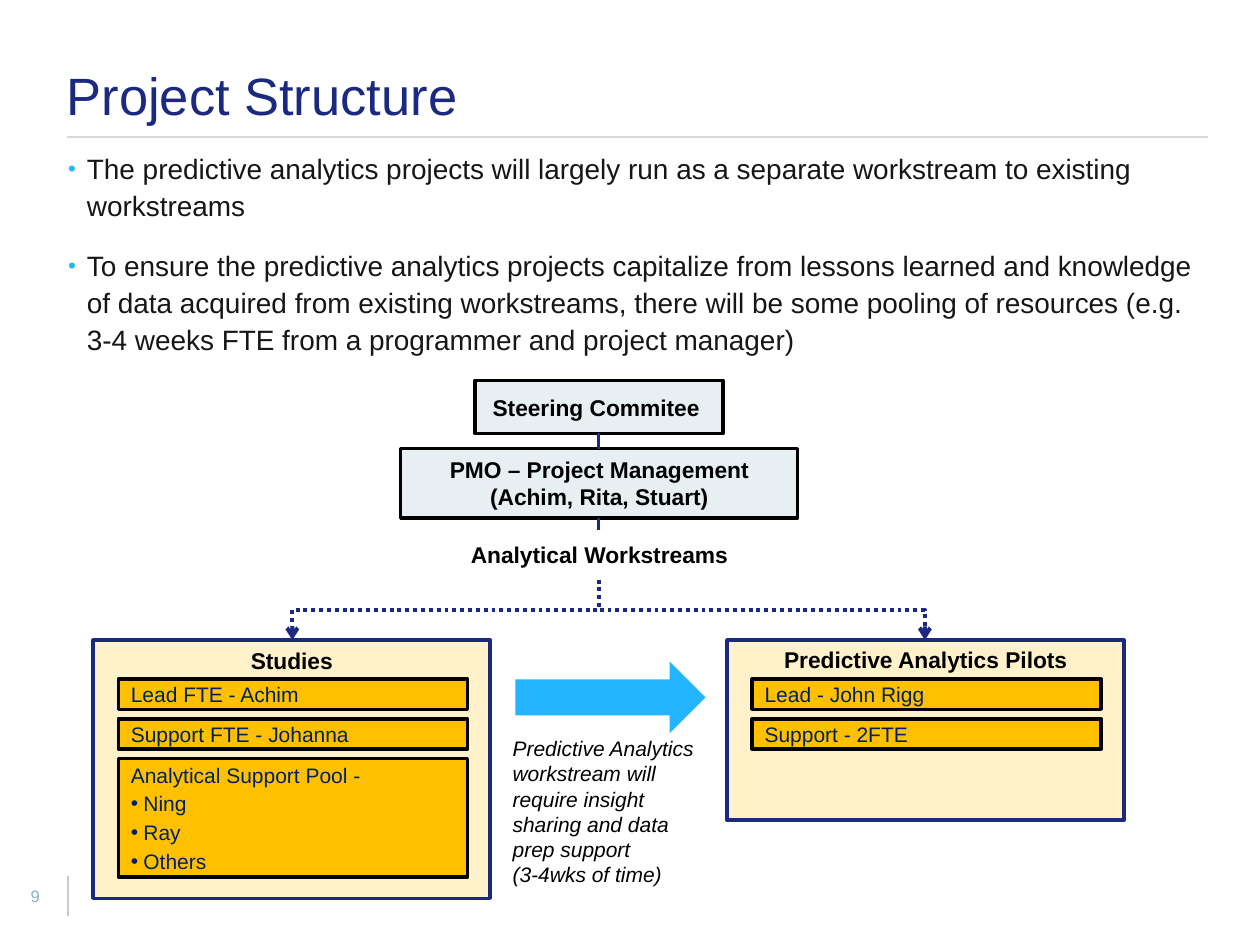
from lxml.etree import SubElement
from pptx import Presentation
from pptx.dml.color import RGBColor
from pptx.enum.dml import MSO_LINE
from pptx.enum.shapes import MSO_CONNECTOR as Connector, MSO_SHAPE as Shape
from pptx.enum.text import MSO_ANCHOR as Anchor, PP_ALIGN as Align
from pptx.oxml.ns import qn
from pptx.util import Inches, Pt

COLORS = {
    "navy": "1C2980", "sky": "25B4FF", "body": "161714", "black": "000000",
    "panel": "FFCF32", "role": "FFC000", "role_text": "002060",
    "box": "E8EFF2", "rule": "D9DAD5", "footer_rule": "CACCC5",
    "page": "8EAFBF", "white": "FFFFFF",
}


def rgb(name):
    return RGBColor.from_string(COLORS[name])


def add_bullet(paragraph, color=None, percent=100):
    properties = paragraph._p.get_or_add_pPr()
    if color:
        holder = SubElement(properties, qn("a:buClr"))
        SubElement(holder, qn("a:srgbClr"), val=COLORS[color])
    SubElement(properties, qn("a:buSzPct"), val=str(percent * 1000))
    SubElement(properties, qn("a:buFont"), typeface="Arial")
    SubElement(properties, qn("a:buChar"), char="•")


def write(shape, lines, size=13, color="black", bold=False, italic=False,
          align=Align.LEFT, anchor=Anchor.TOP, margins=True, indent=0,
          line_spacing=None, before=None, after=None,
          bullets_from=None, bullet_color=None, bullet_percent=100):
    """Fill a shape with one paragraph per line; bullets start at index bullets_from."""
    frame = shape.text_frame
    frame.word_wrap = True
    frame.vertical_anchor = anchor
    if not margins:
        frame.margin_left = frame.margin_right = 0
        frame.margin_top = frame.margin_bottom = 0
    for index, line in enumerate(lines):
        paragraph = frame.paragraphs[0] if index == 0 else frame.add_paragraph()
        paragraph.alignment = align
        if line_spacing:
            paragraph.line_spacing = line_spacing
        if before:
            paragraph.space_before = Pt(before)
        if after:
            paragraph.space_after = Pt(after)
        if indent:
            properties = paragraph._p.get_or_add_pPr()
            properties.set("marL", str(Inches(indent)))
            properties.set("indent", str(-Inches(indent)))
        if bullets_from is not None and index >= bullets_from:
            add_bullet(paragraph, bullet_color, bullet_percent)
        run = paragraph.add_run()
        run.text = line
        font = run.font
        font.name, font.size = "Arial", Pt(size)
        font.bold, font.italic = bold, italic
        font.color.rgb = rgb(color)


class SlideBuilder:
    def __init__(self, slide):
        self.slide = slide
        background = slide.background.fill
        background.solid()
        background.fore_color.rgb = rgb("white")

    def text(self, left, top, width, height, lines, **style):
        box = self.slide.shapes.add_textbox(*map(Inches, (left, top, width, height)))
        write(box, lines, **style)

    def shape(self, left, top, width, height, fill, line=None, lines=(),
              kind=Shape.RECTANGLE, opacity=None, **style):
        shape = self.slide.shapes.add_shape(
            kind, *map(Inches, (left, top, width, height)))
        shape.shadow.inherit = False
        shape.fill.solid()
        shape.fill.fore_color.rgb = rgb(fill)
        if opacity:
            color = shape._element.spPr.find(qn("a:solidFill"))[0]
            SubElement(color, qn("a:alpha"), val=str(opacity * 1000))
        if line:
            shape.line.color.rgb = rgb(line)
            shape.line.width = Pt(2)
        else:
            shape.line.fill.background()
        write(shape, lines, **style)

    def line(self, x1, y1, x2, y2, color="navy", width=2.25, kind=Connector.STRAIGHT):
        connector = self.slide.shapes.add_connector(
            kind, *map(Inches, (x1, y1, x2, y2)))
        connector.line.color.rgb = rgb(color)
        connector.line.width = Pt(width)
        SubElement(connector._element.spPr, qn("a:effectLst"))
        return connector

    def branch(self, x1, y1, x2, y2):
        """Dotted elbow arrow that leaves downwards: a quarter-turned bent connector."""
        connector = self.line(x1, y1, x2, y2, kind=Connector.ELBOW)
        run, drop = abs(x2 - x1), y2 - y1
        connector.left = Inches((x1 + x2 - drop) / 2)
        connector.top = Inches((y1 + y2 - run) / 2)
        connector.width, connector.height = Inches(drop), Inches(run)
        transform = connector._element.spPr.find(qn("a:xfrm"))
        rightwards = x2 > x1
        transform.set("rot", str((270 if rightwards else 90) * 60000))
        transform.set("flipH", "1" if rightwards else "0")
        connector.line.dash_style = MSO_LINE.ROUND_DOT
        outline = connector._element.spPr.find(qn("a:ln"))
        SubElement(outline, qn("a:tailEnd"), type="arrow")

    def workstream(self, left, height, title, roles):
        """Panel with a heading and role boxes, given as (height, lines), stacked below."""
        self.shape(left, 5.08, 3.15, height, "panel", "navy", [title],
                   opacity=25, bold=True, align=Align.CENTER)
        top = 5.39
        for role_height, lines in roles:
            self.shape(left + 0.2, top, 2.77, role_height, "role", "black", lines,
                       size=12, color="role_text", anchor=Anchor.MIDDLE,
                       indent=0.1, after=2, bullets_from=1)
            top += role_height + 0.075


def main():
    presentation = Presentation()
    presentation.slide_width, presentation.slide_height = Inches(10), Inches(7.5)
    page = SlideBuilder(presentation.slides.add_slide(presentation.slide_layouts[6]))

    page.text(0.16, 7.03, 0.24, 0.16, ["9"], size=9.5, color="page",
              align=Align.CENTER, margins=False)
    page.line(0.54, 6.95, 0.54, 7.27, "footer_rule", 0.75)
    page.line(0.53, 1.09, 9.59, 1.09, "rule", 1.25)
    page.text(0.53, 0.08, 9.06, 0.93, ["Project Structure"], size=30, color="navy",
              anchor=Anchor.BOTTOM, margins=False, line_spacing=0.9)
    page.text(0.54, 1.18, 9.06, 1.75, [
        "The predictive analytics projects will largely run as a separate workstream "
        "to existing workstreams",
        "To ensure the predictive analytics projects capitalize from lessons learned "
        "and knowledge of data acquired from existing workstreams, there will be some "
        "pooling of resources (e.g. 3-4 weeks FTE from a programmer and project manager)",
    ], size=16, color="body", margins=False, indent=0.15, line_spacing=1.1, before=13,
        bullets_from=0, bullet_color="sky", bullet_percent=80)

    heading = dict(bold=True, align=Align.CENTER, anchor=Anchor.MIDDLE)
    page.shape(3.77, 3.02, 1.97, 0.42, "box", "black", ["Steering Commitee "], **heading)
    page.shape(3.18, 3.56, 3.15, 0.55, "box", "black",
               ["PMO – Project Management", "(Achim, Rita, Stuart)"], **heading)
    page.text(3.18, 4.21, 3.15, 0.38, ["Analytical Workstreams"], **heading)

    page.workstream(0.74, 2.05, "Studies", [
        (0.24, ["Lead FTE - Achim"]),
        (0.24, ["Support FTE - Johanna"]),
        (0.94, ["Analytical Support Pool -", "Ning", "Ray", "Others"]),
    ])
    page.workstream(5.77, 1.43, "Predictive Analytics Pilots", [
        (0.24, ["Lead - John Rigg"]),
        (0.24, ["Support - 2FTE"]),
    ])

    center = 4.75
    page.line(center, 3.44, center, 3.56)
    page.line(center, 4.11, center, 4.21)
    for target in (2.32, 7.34):
        page.branch(center, 4.6, target, 5.08)

    page.shape(4.09, 5.25, 1.51, 0.57, "sky", kind=Shape.RIGHT_ARROW)
    page.text(3.97, 5.79, 1.79, 1.31, [
        "Predictive Analytics workstream will require insight sharing and data "
        "prep support",
        "(3-4wks of time)",
    ], size=12, italic=True)

    presentation.save("out.pptx")


if __name__ == "__main__":
    main()
